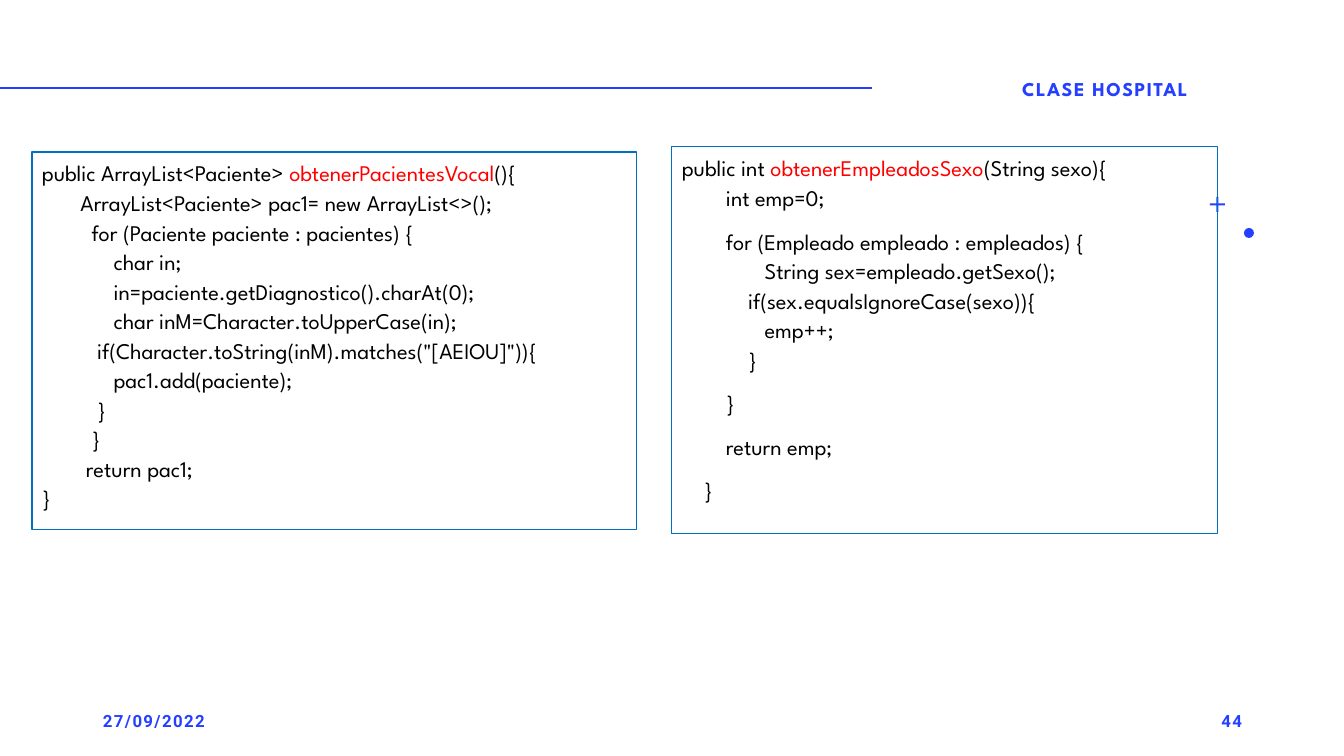
"""Builds the CLASE HOSPITAL slide with two framed Java methods."""
from lxml.etree import SubElement
from pptx import Presentation
from pptx.dml.color import RGBColor
from pptx.enum.shapes import MSO_CONNECTOR, MSO_SHAPE
from pptx.enum.text import MSO_ANCHOR, PP_ALIGN
from pptx.oxml.ns import qn
from pptx.util import Pt

COLORS = {"blue": "243FFF", "frame": "0070C0", "code": "000000", "method": "FF0000"}
EMU_PER_PX = 914400 / 100.8
CODE_FONT, NUMBER_FONT = "League Spartan", "Roboto"

LABELS = [
    ("27/09/2022", (93, 701, 302, 40), PP_ALIGN.LEFT, NUMBER_FONT, 12),
    ("CLASE HOSPITAL", (878, 69, 454, 40), PP_ALIGN.CENTER, CODE_FONT, 14),
    ("44", (950, 701, 302, 40), PP_ALIGN.RIGHT, NUMBER_FONT, 12),
]

CODE_BOXES = [
    ((32, 152, 605, 378), "obtenerPacientesVocal", ["""\
public ArrayList<Paciente> obtenerPacientesVocal(){
       ArrayList<Paciente> pac1= new ArrayList<>();
         for (Paciente paciente : pacientes) {
             char in;
             in=paciente.getDiagnostico().charAt(0);
             char inM=Character.toUpperCase(in);
          if(Character.toString(inM).matches("[AEIOU]")){
             pac1.add(paciente);
          }
         }
        return pac1;
}"""]),
    ((672, 147, 546, 387), "obtenerEmpleadosSexo", ["""\
public int obtenerEmpleadosSexo(String sexo){
        int emp=0;""", """\
        for (Empleado empleado : empleados) {
               String sex=empleado.getSexo();
            if(sex.equalsIgnoreCase(sexo)){
               emp++;
            }""",
        "        }",
        "        return emp;",
        "    }"]),
]

ORNAMENTS = [
    (MSO_SHAPE.OVAL, (1244, 228, 10, 10)),
    (MSO_SHAPE.CROSS, (1210, 197, 15, 15)),
]


def px(*lengths):
    return [round(n * EMU_PER_PX) for n in lengths]


def color(name):
    return RGBColor.from_string(COLORS[name])


def style(p, font, size, color_name, bold=False):
    p.font.name, p.font.size, p.font.bold = font, Pt(size), bold
    p.font.color.rgb = color(color_name)


def add_rule(s):
    line = s.shapes.add_connector(MSO_CONNECTOR.STRAIGHT, *px(0, 88, 872, 88))
    line.line.color.rgb = color("blue")
    line.line.width = Pt(2)
    SubElement(line._element.spPr, qn("a:effectLst"))


def add_ornament(s, kind, box):
    sp = s.shapes.add_shape(kind, *px(*box))
    sp.shadow.inherit = False
    sp.fill.solid()
    sp.fill.fore_color.rgb = color("blue")
    sp.line.fill.background()
    if kind == MSO_SHAPE.CROSS:
        sp.adjustments[0] = 0.43


def add_label(s, text, box, align, font, size):
    tf = s.shapes.add_textbox(*px(*box)).text_frame
    tf.word_wrap = True
    tf.vertical_anchor = MSO_ANCHOR.MIDDLE
    p = tf.paragraphs[0]
    p.alignment = align
    style(p, font, size, "blue", True)
    r = p.add_run()
    r.text = text
    r._r.get_or_add_rPr().set("spc", "100")


def add_code_line(p, line, method):
    before, name, after = line.partition(method)
    for text in filter(None, (before, name, after)):
        r = p.add_run()
        r.text = text
        if text == method:
            r.font.color.rgb = color("method")


def add_code_box(s, box, method, blocks):
    sp = s.shapes.add_shape(MSO_SHAPE.RECTANGLE, *px(*box))
    sp.shadow.inherit = False
    sp.fill.background()
    sp.line.color.rgb = color("frame")
    sp.line.width = Pt(0.75)
    tf = sp.text_frame
    tf.word_wrap = True
    tf.vertical_anchor = MSO_ANCHOR.TOP
    for i, block in enumerate(blocks):
        p = tf.add_paragraph() if i else tf.paragraphs[0]
        p.alignment = PP_ALIGN.LEFT
        p.line_spacing = 1.1
        p.space_before = Pt(10 if i else 0)
        style(p, CODE_FONT, 16, "code")
        for j, line in enumerate(block.split("\n")):
            if j:
                p.add_line_break()
            add_code_line(p, line, method)


def main():
    prs = Presentation()
    prs.slide_width, prs.slide_height = px(1344, 756)
    s = prs.slides.add_slide(prs.slide_layouts[6])
    add_rule(s)
    for ornament in ORNAMENTS:
        add_ornament(s, *ornament)
    for label in LABELS:
        add_label(s, *label)
    for code_box in CODE_BOXES:
        add_code_box(s, *code_box)
    prs.save("out.pptx")


if __name__ == "__main__":
    main()
